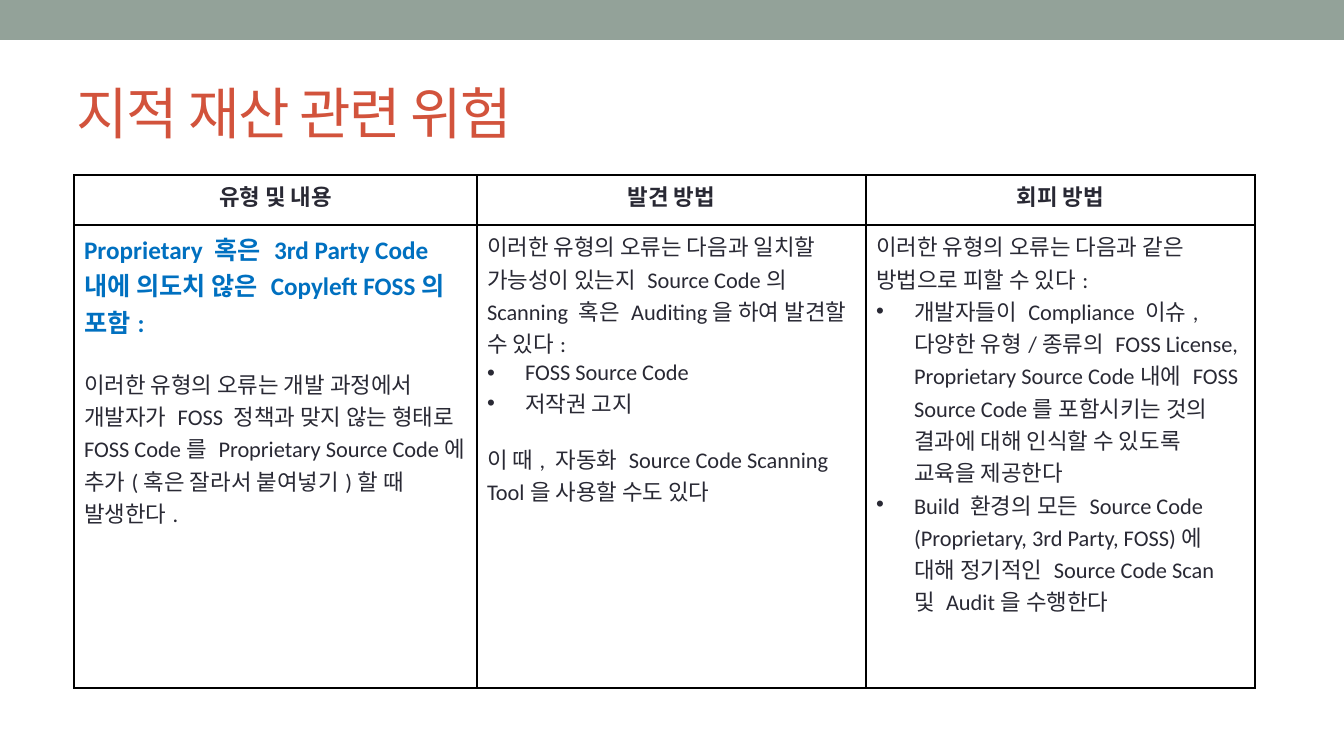
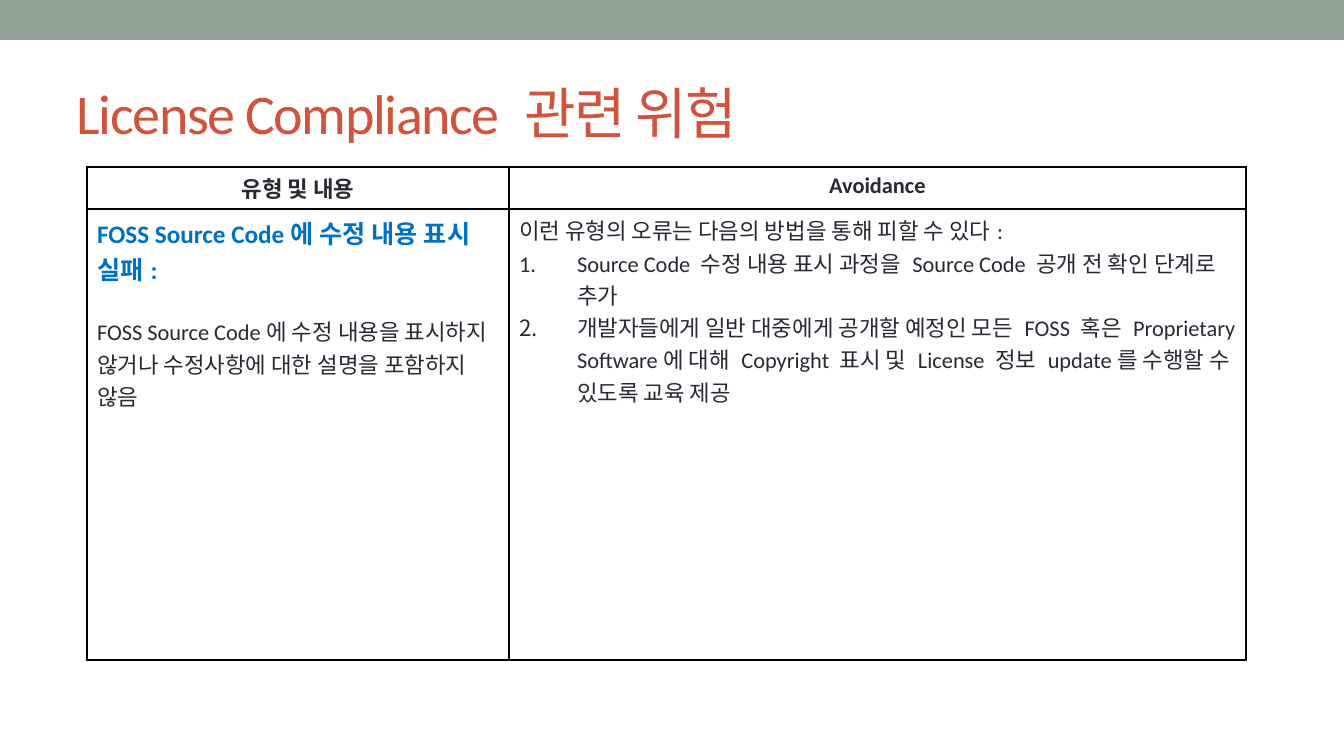
"""Build two slides on FOSS risks, each with a title band and a table."""
from lxml import etree
from pptx import Presentation
from pptx.dml.color import RGBColor
from pptx.enum.shapes import MSO_SHAPE
from pptx.enum.text import MSO_ANCHOR, PP_ALIGN
from pptx.oxml.ns import qn
from pptx.util import Emu, Pt

RECT = MSO_SHAPE.RECTANGLE
MIDDLE = MSO_ANCHOR.MIDDLE
LEFT, CENTER = PP_ALIGN.LEFT, PP_ALIGN.CENTER
FONT = "Calibri"
BAND, RED, INK, BLUE, BLACK = "93A299", "D2533C", "292934", "0070C0", "000000"
WIDE, HIGH = 1344, 756
hue = RGBColor.from_string


def px(n):
    """Turn pixels into EMU."""
    return Emu(round(n * 914400 / 100.8))


def write(frame, text, size=16, color=INK, bold=False, align=LEFT, gap=0,
          track=0, mark=None, hang=0):
    """Add one paragraph to a text frame."""
    para = frame.add_paragraph() if frame.text else frame.paragraphs[0]
    para.alignment = align
    para.space_before = Pt(gap)
    run = para.add_run()
    run.text = text
    font = run.font
    font.name, font.size, font.bold = FONT, Pt(size), bold
    font.color.rgb = hue(color)
    if track:
        run._r.get_or_add_rPr().set("spc", str(track))
    if mark:
        props = para._p.get_or_add_pPr()
        props.set("marL", str(px(hang)))
        props.set("indent", str(-px(hang)))
        if mark == "•":
            etree.SubElement(props, qn("a:buFont"), typeface="Arial")
            etree.SubElement(props, qn("a:buChar"), char=mark)
        else:
            etree.SubElement(props, qn("a:buAutoNum"), type=mark)


HEAD = dict(bold=True, align=CENTER)
LEAD = dict(size=18, color=BLUE, bold=True)
BODY = {}
AFTER = dict(gap=20)
DOT = dict(mark="•", hang=38)
NUM = dict(mark="arabicPeriod", hang=58)

SLIDES = [
    dict(
        title="지적 재산 관련 위험",
        at=(74, 175), cols=(403, 389, 389), rows=(50, 463),
        heads=("유형 및 내용", "발견 방법", "회피 방법"),
        cells=(
            [("Proprietary 혹은 3rd Party Code내에 의도치 않은 Copyleft FOSS의 포함:", LEAD),
             ("이러한 유형의 오류는 개발 과정에서 개발자가 FOSS 정책과 맞지 않는 형태로 "
              "FOSS Code를 Proprietary Source Code에 추가(혹은 잘라서 붙여넣기)할 때 "
              "발생한다.", AFTER)],
            [("이러한 유형의 오류는 다음과 일치할 가능성이 있는지 Source Code의 "
              "Scanning 혹은 Auditing을 하여 발견할 수 있다:", BODY),
             ("FOSS Source Code", DOT),
             ("저작권 고지", DOT),
             ("이 때, 자동화 Source Code Scanning Tool을 사용할 수도 있다", dict(gap=17))],
            [("이러한 유형의 오류는 다음과 같은 방법으로 피할 수 있다:", BODY),
             ("개발자들이 Compliance 이슈, 다양한 유형/종류의 FOSS License, "
              "Proprietary Source Code내에 FOSS Source Code를 포함시키는 것의 "
              "결과에 대해 인식할 수 있도록 교육을 제공한다", DOT),
             ("Build 환경의 모든 Source Code (Proprietary, 3rd Party, FOSS)에 "
              "대해 정기적인 Source Code Scan 및 Audit을 수행한다", DOT)],
        ),
    ),
    dict(
        title="License Compliance 관련 위험",
        at=(87, 167), cols=(422, 737), rows=(42, 451),
        heads=("유형 및 내용", "Avoidance"),
        cells=(
            [("FOSS Source Code에 수정 내용 표시 실패:", LEAD),
             ("FOSS Source Code에 수정 내용을 표시하지 않거나 수정사항에 대한 설명을 "
              "포함하지 않음", AFTER)],
            [("이런 유형의 오류는 다음의 방법을 통해 피할 수 있다:", BODY),
             ("Source Code 수정 내용 표시 과정을 Source Code 공개 전 확인 단계로 추가", NUM),
             ("개발자들에게 일반 대중에게 공개할 예정인 모든 FOSS 혹은 Proprietary "
              "Software에 대해 Copyright 표시 및 License 정보 update를 수행할 수 "
              "있도록 교육 제공", NUM)],
        ),
    ),
]

deck = Presentation()
deck.slide_width, deck.slide_height = px(WIDE), px(HIGH)

for page in SLIDES:
    slide = deck.slides.add_slide(deck.slide_layouts[6])
    band = slide.shapes.add_shape(RECT, 0, 0, px(WIDE), px(40))
    band.shadow.inherit = False
    band.fill.solid()
    band.fill.fore_color.rgb = hue(BAND)
    band.line.fill.background()

    title = slide.shapes.add_textbox(px(67), px(58), px(1210), px(109)).text_frame
    title.word_wrap = True
    title.vertical_anchor = MIDDLE
    write(title, page["title"], size=40, color=RED, track=-100)

    left, top = page["at"]
    cols, rows = page["cols"], page["rows"]
    table = slide.shapes.add_table(len(rows), len(cols), px(left), px(top),
                                   px(sum(cols)), px(sum(rows))).table
    table.first_row = table.horz_banding = False
    for col, width in zip(table.columns, cols):
        col.width = px(width)
    for row, height in zip(table.rows, rows):
        row.height = px(height)

    heads = [[(text, HEAD)] for text in page["heads"]]
    for cell, paras in zip(table.iter_cells(), [*heads, *page["cells"]]):
        props = cell._tc.get_or_add_tcPr()
        for side in ("lnL", "lnR", "lnT", "lnB"):
            edge = etree.SubElement(props, qn("a:" + side), w=str(Pt(1)))
            fill = etree.SubElement(edge, qn("a:solidFill"))
            etree.SubElement(fill, qn("a:srgbClr"), val=BLACK)
        cell.fill.background()
        for text, style in paras:
            write(cell.text_frame, text, **style)

deck.save("out.pptx")
